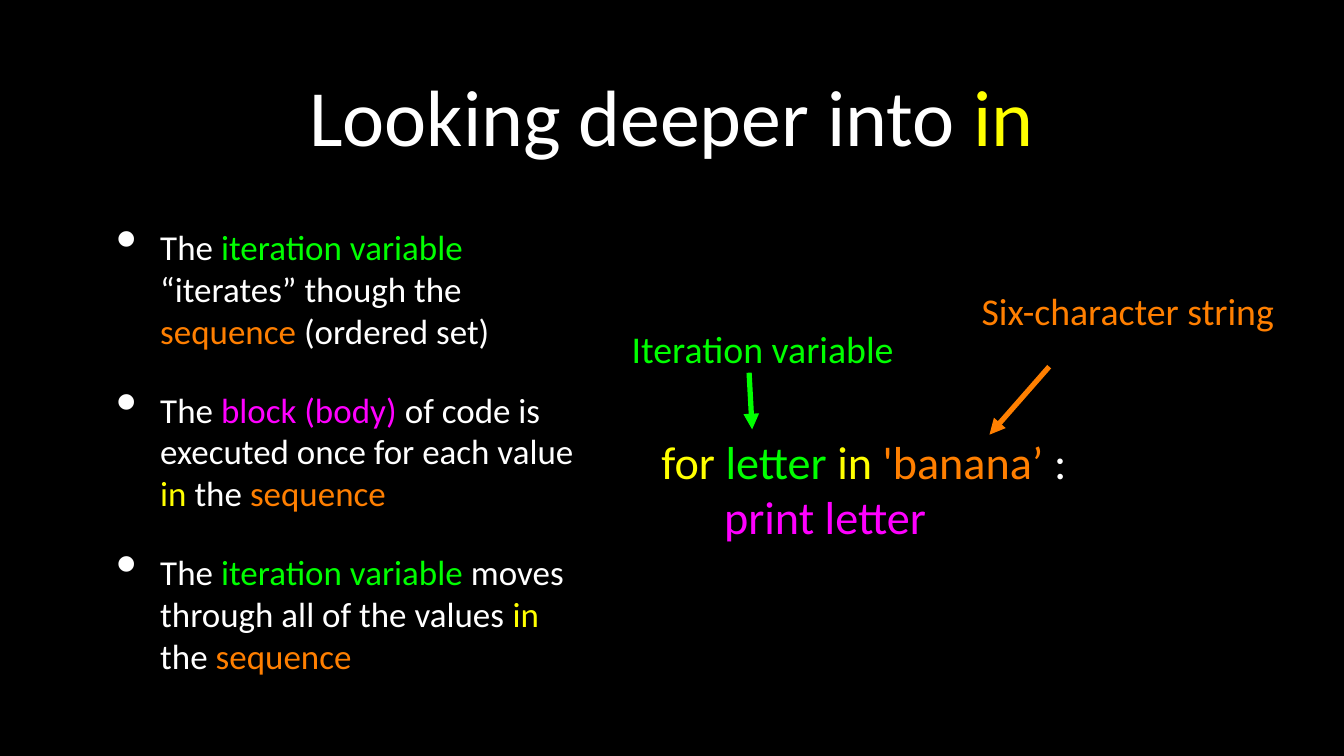
"""Build a slide on how the Python keyword "in" drives a for loop."""
from lxml import etree
from pptx import Presentation
from pptx.dml.color import RGBColor
from pptx.enum.shapes import MSO_CONNECTOR
from pptx.enum.text import MSO_ANCHOR, MSO_AUTO_SIZE, PP_ALIGN
from pptx.oxml.ns import qn
from pptx.util import Inches, Pt

LEFT, CENTER = PP_ALIGN.LEFT, PP_ALIGN.CENTER
MIDDLE = MSO_ANCHOR.MIDDLE
FIXED = MSO_AUTO_SIZE.NONE
STRAIGHT = MSO_CONNECTOR.STRAIGHT
WHITE, YELLOW, GREEN = "FFFFFF", "FFFF00", "00FF00"
ORANGE, PINK, BLACK = "FF7F00", "FF00FF", "000000"


def paint(target, color):
    """Give a font or a solid fill its colour."""
    target.rgb = RGBColor.from_string(color)


def write(shape, area, lines, size, align=LEFT, inset=0, bullet=False):
    """Place a text shape and fill it with lines of (text, colour) runs."""
    shape.left, shape.top, shape.width, shape.height = map(Inches, area)
    frame = shape.text_frame
    frame.word_wrap = True
    frame.auto_size = FIXED
    frame.vertical_anchor = MIDDLE
    frame.margin_left = frame.margin_right = Inches(inset)
    frame.margin_top = frame.margin_bottom = Inches(inset)
    for i, line in enumerate(lines):
        para = frame.add_paragraph() if i else frame.paragraphs[0]
        para.alignment = align
        if bullet:
            para.space_before = Pt(35 if i else 0)
            props = para._p.get_or_add_pPr()
            props.set("marL", str(Inches(0.82)))
            props.set("indent", str(Inches(-0.58)))
            tint = etree.SubElement(props, qn("a:buClr"))
            etree.SubElement(tint, qn("a:srgbClr"), val=WHITE)
            etree.SubElement(props, qn("a:buSzPct"), val="171000")
            etree.SubElement(props, qn("a:buChar"), char="•")
        para.font.name = "Calibri"
        para.font.size = Pt(size)
        base = line[0][1]
        paint(para.font.color, base)
        for text, color in line:
            run = para.add_run()
            run.text = text
            if color != base:
                paint(run.font.color, color)


deck = Presentation()
deck.slide_width, deck.slide_height = Inches(17.78), Inches(10)
slide = deck.slides.add_slide(deck.slide_layouts[5])
slide.background.fill.solid()
paint(slide.background.fill.fore_color, BLACK)

title = [[("Looking deeper into ", WHITE), ("in", YELLOW)]]
write(slide.shapes.title, (1.26, 0.26, 15.24, 2.51), title, 76, CENTER, 0.04)

points = [
    [("The ", WHITE), ("iteration variable ", GREEN),
     ("“iterates” though the ", WHITE), ("sequence ", ORANGE),
     ("(ordered set)", WHITE)],
    [("The ", WHITE), ("block (body)", PINK),
     (" of code is executed once for each value ", WHITE),
     ("in", YELLOW), (" the ", WHITE), ("sequence", ORANGE)],
    [("The ", WHITE), ("iteration variable ", GREEN),
     ("moves through all of the values ", WHITE),
     ("in", YELLOW), (" the ", WHITE), ("sequence", ORANGE)],
]
body = slide.shapes.add_textbox(0, 0, 0, 0)
write(body, (1.26, 2.74, 6.54, 6.45), points, 33.3, inset=0.04, bullet=True)

code = [
    [("for ", YELLOW), ("letter ", GREEN), ("in ", YELLOW),
     ("'banana’ ", ORANGE), (":", WHITE)],
    [("      print letter", PINK)],
]
loop = slide.shapes.add_textbox(0, 0, 0, 0)
write(loop, (8.75, 5.73, 6.12, 1.47), code, 44)

notes = [
    ("Iteration variable", GREEN, (8.07, 4.31, 4.04, 0.6),
     (9.91, 4.93, 9.95, 5.68)),
    ("Six-character string", ORANGE, (12.36, 3.76, 5.12, 0.68),
     (13.88, 4.85, 13.09, 5.75)),
]
for text, color, area, ends in notes:
    label = slide.shapes.add_textbox(0, 0, 0, 0)
    write(label, area, [[(text, color)]], 36, CENTER)
    arrow = slide.shapes.add_connector(STRAIGHT, *map(Inches, ends))
    arrow.line.width = Pt(5)
    arrow.line.fill.solid()
    paint(arrow.line.fill.fore_color, color)
    stroke = arrow.line._get_or_add_ln()
    etree.SubElement(stroke, qn("a:tailEnd"), type="triangle")
    etree.SubElement(arrow._element.spPr, qn("a:effectLst"))

deck.save("out.pptx")
